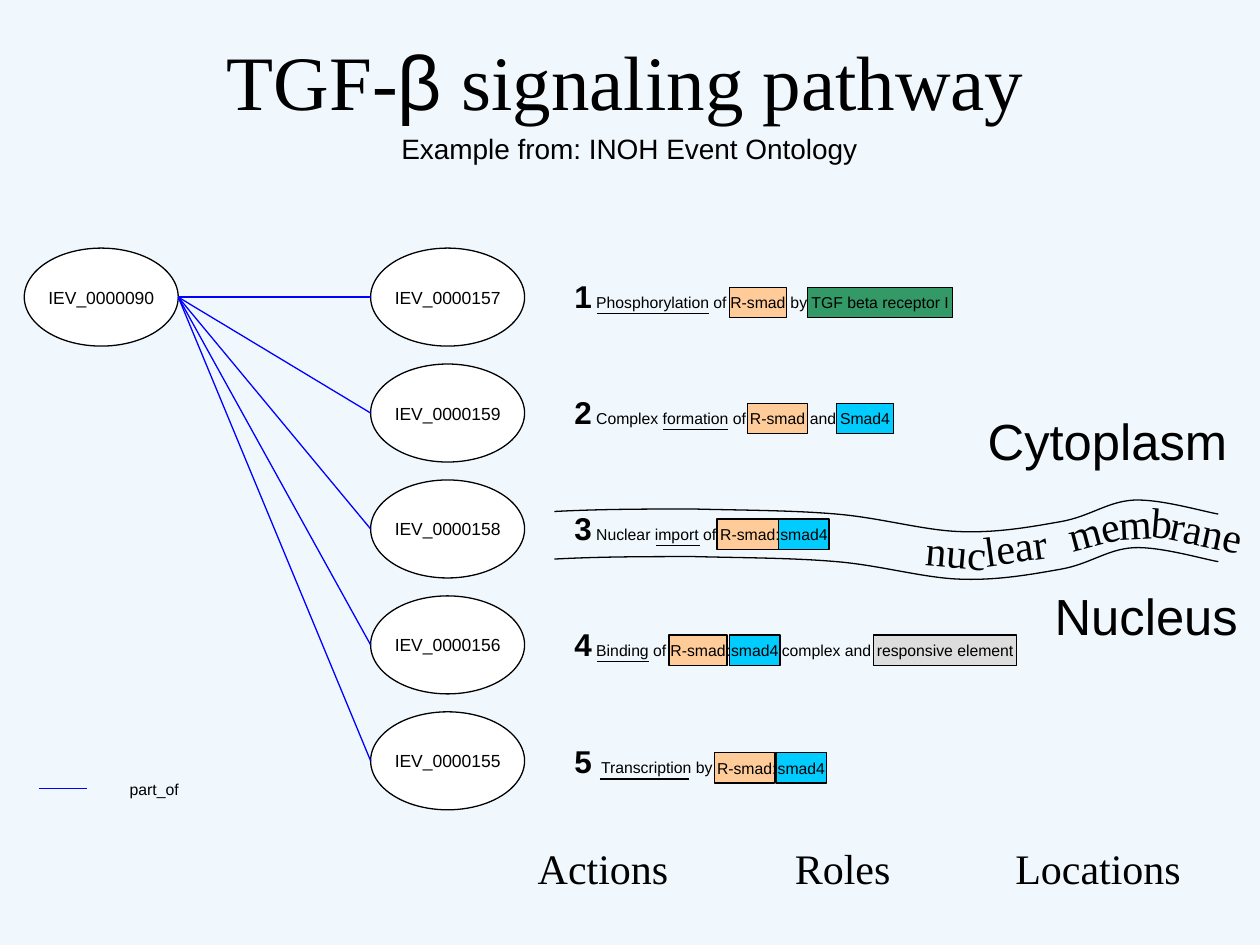
from dataclasses import dataclass
from lxml.etree import SubElement as Sub
from pptx import Presentation
from pptx.dml.color import RGBColor as Rgb
from pptx.enum.shapes import MSO_CONNECTOR as Conn, MSO_SHAPE as Kind
from pptx.enum.text import MSO_ANCHOR as Anchor, MSO_AUTO_SIZE as Auto, PP_ALIGN as Align
from pptx.oxml.ns import qn
from pptx.util import Pt


@dataclass(frozen=True)
class Theme:
    back: str = "F0F8FE"
    ink: str = "000000"
    node: str = "FFFFFF"
    link: str = "0000FF"
    smad: str = "FFCC99"
    co: str = "00CCFF"
    tgf: str = "339966"
    gene: str = "DDDDDD"
    sans: str = "Arial"
    serif: str = "Times New Roman"
    title: float = 44
    place: float = 29
    head: float = 24
    num: float = 18
    sub: float = 16
    code: float = 10
    small: float = 9
    line: float = 0.75


T = Theme()


@dataclass(frozen=True)
class Chip:
    text: str
    left: float
    width: float
    fill: str


@dataclass(frozen=True)
class Row:
    code: str
    text: str
    width: float
    rule: tuple[float, float]
    chips: tuple[Chip, ...]
    gap: float = T.small  # size of the space after the number
    drop: float = 0       # extra shift of the marks


@dataclass(frozen=True)
class Word:
    text: str
    left: float
    top: float
    width: float
    turn: float = 0


ROWS = (
    Row("IEV_0000157", "Phosphorylation of R-smad by TGF beta receptor I", 252, (341.3, 405.4),
        (Chip("R-smad", 416.9, 32.4, T.smad), Chip("TGF beta receptor I", 461.5, 82.8, T.tgf))),
    Row("IEV_0000159", "Complex formation of R-smad and Smad4", 215.3, (378.7, 416.2),
        (Chip(" R-smad ", 427, 34.6, T.smad), Chip("Smad4", 478.1, 32.4, T.co))),
    Row("IEV_0000158", "Nuclear import of R-smad:smad4", 166.3, (375.1, 400.3),
        (Chip(" R-smad:", 409.7, 35.3, T.smad), Chip("smad4", 445, 28.8, T.co))),
    Row("IEV_0000156", "Binding of R-smad:smad4 complex and responsive element", 265.7, (341.3, 370.8),
        (Chip(" R-smad:", 382.3, 33.1, T.smad), Chip("smad4", 416.9, 28.8, T.co),
         Chip("responsive element", 499, 82.1, T.gene))),
    Row("IEV_0000155", "Transcription by R-smad:smad4", 177.1, (342.7, 393.8),
        (Chip(" R-smad:", 408.2, 34.6, T.smad), Chip("smad4", 443.5, 28.8, T.co)),
        gap=19, drop=1),
)
STEP = 66.24
NODE_W, NODE_H, NODE_Y = 88, 56, 141.8
ROOT_X, LEAF_X = 13.9, 211.8

HEADS = (Word("Actions", 300.2, 478.1, 94.3), Word("Roles", 447.1, 478.1, 100.1),
         Word("Locations", 573.1, 478.1, 110.2))
PLACES = (Word("Cytoplasm", 555.8, 229.7, 154.1), Word("Nucleus", 594, 329.8, 121.7))
ARC = (Word("nuc", 522, 297.4, 54.7, 5), Word("lear", 555.1, 293.8, 54.7, -8),
       Word("me", 602.6, 282.2, 64.1, -15), Word("m", 632.2, 280.1, 54.7, -3),
       Word("b", 650.9, 280.8, 38.9, 5), Word("rane", 661.7, 285.8, 60.5, 12))
# Start point, then two handles and an end point for each curve
WAVE = ((316.8, 292.3), (343.4, 290.9), (370.1, 290.9), (396.7, 290.9),
        (424.1, 291.6), (452.9, 291.6), (478.1, 293.8),
        (503.3, 295.9), (527.8, 303.1), (548.6, 303.8),
        (570.2, 304.6), (589.7, 301), (606.2, 298.1),
        (622.8, 295.2), (632.9, 286.6), (648, 285.8),
        (663.1, 285.1), (687.6, 292.3), (696.2, 293.8))
WAVE_GAP = 27.2


def put(shape, *runs: tuple, font: str = T.sans, size: float = T.small, align=Align.LEFT,
        anchor=Anchor.TOP, wrap: bool = True, pad: tuple = (7.2, 3.6)) -> None:
    """Fill a shape with runs of (text, format), on one paragraph."""
    frame = shape.text_frame
    frame.word_wrap, frame.auto_size, frame.vertical_anchor = wrap, Auto.NONE, anchor
    frame.margin_left = frame.margin_right = Pt(pad[0])
    frame.margin_top = frame.margin_bottom = Pt(pad[1])
    para = frame.paragraphs[0]
    para.alignment, para.space_before = align, Pt(0)
    for text, form in runs:
        run = para.add_run()
        run.text = text
        run.font.name = form.get("font", font)
        run.font.size = Pt(form.get("size", size))
        run.font.bold = form.get("bold", False)
        run.font.color.rgb = Rgb.from_string(T.ink)


def place(shape, left: float, top: float, width: float, height: float) -> None:
    shape.left, shape.top, shape.width, shape.height = map(Pt, (left, top, width, height))


def label(page, word: Word, height: float, **form) -> None:
    box = page.shapes.add_textbox(*map(Pt, (word.left, word.top, word.width, height)))
    box.rotation = word.turn
    put(box, (word.text, {}), **form)


def block(page, kind, text: str, area: tuple, fill: str, size: float) -> None:
    shape = page.shapes.add_shape(kind, *map(Pt, area))
    shape.shadow.inherit = False
    shape.fill.solid()
    shape.fill.fore_color.rgb = Rgb.from_string(fill)
    edge(shape, T.ink)
    put(shape, (text, {}), size=size, align=Align.CENTER, anchor=Anchor.MIDDLE,
        wrap=False, pad=(0, 3.6))


def edge(shape, color: str) -> None:
    shape.line.color.rgb = Rgb.from_string(color)
    shape.line.width = Pt(T.line)


def rule(page, x1: float, y1: float, x2: float, y2: float, color: str) -> None:
    line = page.shapes.add_connector(Conn.STRAIGHT, *map(Pt, (x1, y1, x2, y2)))
    edge(line, color)
    Sub(line._element.spPr, qn("a:effectLst"))


def wave(page, drop: float) -> None:
    pts = [(Pt(x), Pt(y + drop)) for x, y in WAVE]
    pen = page.shapes.build_freeform(*pts[0])
    pen.add_line_segments(pts[1:], close=False)
    shape = pen.convert_to_shape()
    shape.shadow.inherit = False
    shape.fill.background()
    edge(shape, T.ink)
    # Join every three straight parts into one cubic curve
    track = next(shape._element.iter(qn("a:path")))
    parts = track.findall(qn("a:lnTo"))
    for i in range(0, len(parts), 3):
        curve = Sub(track, qn("a:cubicBezTo"))
        for part in parts[i:i + 3]:
            curve.append(part[0])
            track.remove(part)


def step(page, i: int, row: Row) -> None:
    y = i * STEP
    mid = NODE_Y + NODE_H / 2
    block(page, Kind.OVAL, row.code, (LEAF_X, NODE_Y + y, NODE_W, NODE_H), T.node, T.code)
    rule(page, ROOT_X + NODE_W, mid, LEAF_X, mid + y, T.link)
    box = page.shapes.add_textbox(*map(Pt, (321.1, 154.8 + y, row.width, 28.8)))
    put(box, (str(i + 1), {"size": T.num, "bold": True}),
        (" ", {"size": row.gap, "bold": row.gap > T.small}), (row.text, {}))
    top = 164.2 + y + row.drop
    for chip in row.chips:
        block(page, Kind.RECTANGLE, chip.text, (chip.left, top, chip.width, 17.3),
              chip.fill, T.small)
    start, end = row.rule
    rule(page, start, top + 15, end, top + 15, T.ink)


def main() -> None:
    deck = Presentation()
    deck.slide_width, deck.slide_height = Pt(720), Pt(540)
    page = deck.slides.add_slide(deck.slide_layouts[0])
    page.background.fill.solid()
    page.background.fill.fore_color.rgb = Rgb.from_string(T.back)

    # Title and subtitle
    title, sub = page.placeholders
    place(title, 69.1, 15.8, 576.7, 60.5)
    put(title, ("TGF-", {}), ("β", {"font": T.sans}), (" signaling pathway", {}),
        font=T.serif, size=T.title, align=Align.CENTER)
    place(sub, 203.8, 71.3, 311.8, 26.6)
    put(sub, ("Example from: INOH Event Ontology", {}), size=T.sub, align=Align.CENTER)

    # Event tree with its steps
    block(page, Kind.OVAL, "IEV_0000090", (ROOT_X, NODE_Y, NODE_W, NODE_H), T.node, T.code)
    for i, row in enumerate(ROWS):
        step(page, i, row)

    # Legend
    rule(page, 22.3, 450.7, 49.7, 450.7, T.link)
    label(page, Word("part_of", 67, 442.1, 97.2), 18)

    # Membrane, places and column heads
    for drop in (0, WAVE_GAP):
        wave(page, drop)
    for word in PLACES:
        label(page, word, 43.2, size=T.place, wrap=False, pad=(8.6, 4.3))
    for word in ARC + HEADS:
        label(page, word, 36, font=T.serif, size=T.head)

    deck.save("out.pptx")


if __name__ == "__main__":
    main()
